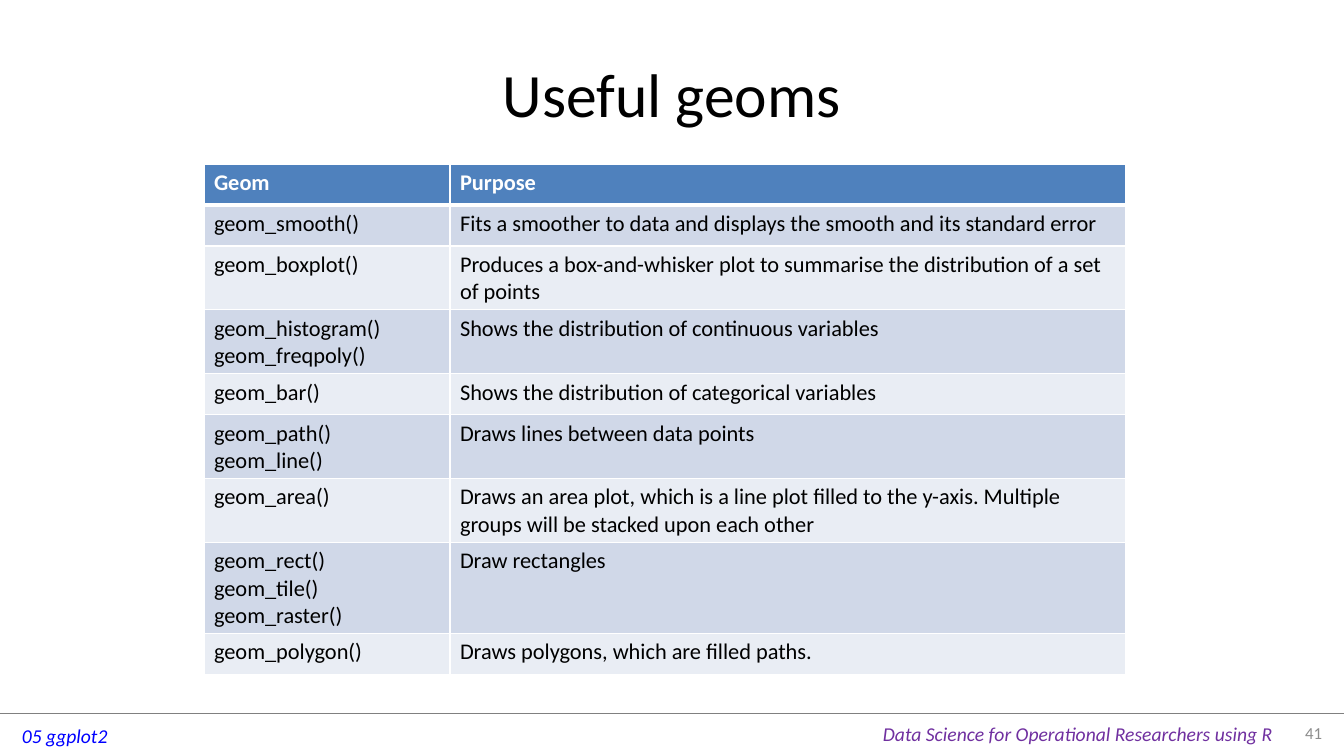
from typing import NamedTuple

from lxml import etree
from pptx import Presentation
from pptx import util as u
from pptx.dml.color import RGBColor
from pptx.enum import shapes, text
from pptx.oxml.ns import qn

EMU_PER_PX = 12192000 / 1344
FONT = "Calibri"
COLORS = {
    "black": "000000", "white": "FFFFFF", "rule": "808080", "topic": "0000FF",
    "course": "7030A0", "number": "8C8C8C", "header": "4F81BD",
    "band_dark": "D0D8E8", "band_light": "E9EDF4",
}


class Label(NamedTuple):
    content: str
    box: tuple[int, int, int, int]
    size: int
    color: str
    italic: bool = False
    wrap: bool = True
    align: text.PP_ALIGN = text.PP_ALIGN.LEFT
    anchor: text.MSO_ANCHOR = text.MSO_ANCHOR.TOP


class Geom(NamedTuple):
    names: str
    purpose: str


LABELS = [
    Label("05 ggplot2", (12, 719, 107, 34), 14, "topic", italic=True, wrap=False),
    Label("Data Science for Operational Researchers using R", (873, 717, 414, 34),
          14, "course", italic=True, wrap=False),
    Label("Useful geoms", (67, 30, 1210, 126), 44, "black",
          align=text.PP_ALIGN.CENTER, anchor=text.MSO_ANCHOR.MIDDLE),
    Label("41", (1277, 713, 55, 40), 12, "number",
          align=text.PP_ALIGN.RIGHT, anchor=text.MSO_ANCHOR.MIDDLE),
]
HEADER = Geom("Geom", "Purpose")
GEOMS = [
    Geom("geom_smooth()",
         "Fits a smoother to data and displays the smooth and its standard error"),
    Geom("geom_boxplot()",
         "Produces a box-and-whisker plot to summarise the distribution of a set of points"),
    Geom("geom_histogram()\ngeom_freqpoly()",
         "Shows the distribution of continuous variables"),
    Geom("geom_bar()", "Shows the distribution of categorical variables"),
    Geom("geom_path()\ngeom_line()", "Draws lines between data points"),
    Geom("geom_area()",
         "Draws an area plot, which is a line plot filled to the y-axis. "
         "Multiple groups will be stacked upon each other"),
    Geom("geom_rect()\ngeom_tile()\ngeom_raster()", "Draw rectangles"),
    Geom("geom_polygon()", "Draws polygons, which are filled paths."),
]
TABLE_LEFT, TABLE_TOP = 204, 164
COLUMN_WIDTHS = (246, 676)
ROW_HEIGHT = 41


def px(n: int) -> u.Emu:
    return u.Emu(round(n * EMU_PER_PX))


def rgb(name: str) -> RGBColor:
    return RGBColor.from_string(COLORS[name])


def write(tf, content: str, *, size: int, color: str, bold: bool = False,
          italic: bool = False, align: text.PP_ALIGN = text.PP_ALIGN.LEFT) -> None:
    for i, line in enumerate(content.split("\n")):
        p = tf.add_paragraph() if i else tf.paragraphs[0]
        p.alignment = align
        r = p.add_run()
        r.text = line
        r.font.name, r.font.size = FONT, u.Pt(size)
        r.font.bold, r.font.italic = bold, italic
        r.font.color.rgb = rgb(color)


def add_label(slide, label: Label) -> None:
    tf = slide.shapes.add_textbox(*map(px, label.box)).text_frame
    tf.word_wrap = label.wrap
    tf.vertical_anchor = label.anchor
    if not label.wrap:
        tf.auto_size = text.MSO_AUTO_SIZE.SHAPE_TO_FIT_TEXT
    write(tf, label.content, size=label.size, color=label.color,
          italic=label.italic, align=label.align)


def add_borders(cell, widths: dict[str, int]) -> None:
    tc_pr = cell._tc.get_or_add_tcPr()
    for i, (side, width) in enumerate(widths.items()):
        ln = etree.Element(qn(f"a:ln{side}"), w=str(u.Pt(width)))
        fill = etree.SubElement(ln, qn("a:solidFill"))
        etree.SubElement(fill, qn("a:srgbClr"), val=COLORS["white"])
        tc_pr.insert(i, ln)


def add_geom_table(slide) -> None:
    rows = [HEADER, *GEOMS]
    table = slide.shapes.add_table(
        len(rows), len(COLUMN_WIDTHS), px(TABLE_LEFT), px(TABLE_TOP),
        px(sum(COLUMN_WIDTHS)), px(ROW_HEIGHT * len(rows))).table
    for column, width in zip(table.columns, COLUMN_WIDTHS):
        column.width = px(width)
    for i, geom in enumerate(rows):
        table.rows[i].height = px(ROW_HEIGHT)
        is_header = i == 0
        band = "header" if is_header else "band_dark" if i % 2 else "band_light"
        for j, content in enumerate(geom):
            cell = table.cell(i, j)
            cell.fill.solid()
            cell.fill.fore_color.rgb = rgb(band)
            add_borders(cell, {"L": 1, "R": 1, "T": 3 if i == 1 else 1,
                               "B": 3 if is_header else 1})
            write(cell.text_frame, content, size=16, bold=is_header,
                  color="white" if is_header else "black")


def add_footer_rule(slide) -> None:
    rule = slide.shapes.add_connector(
        shapes.MSO_CONNECTOR.STRAIGHT, px(0), px(713), px(1344), px(713))
    rule.line.color.rgb = rgb("rule")
    rule.line.width = u.Pt(0.25)
    etree.SubElement(rule._element.spPr, qn("a:effectLst"))


def main() -> None:
    prs = Presentation()
    prs.slide_width, prs.slide_height = px(1344), px(756)
    slide = prs.slides.add_slide(prs.slide_layouts[6])

    # Footer line, then title and footer texts
    add_footer_rule(slide)
    for label in LABELS:
        add_label(slide, label)

    # Geoms and what they are for
    add_geom_table(slide)
    prs.save("out.pptx")


if __name__ == "__main__":
    main()
